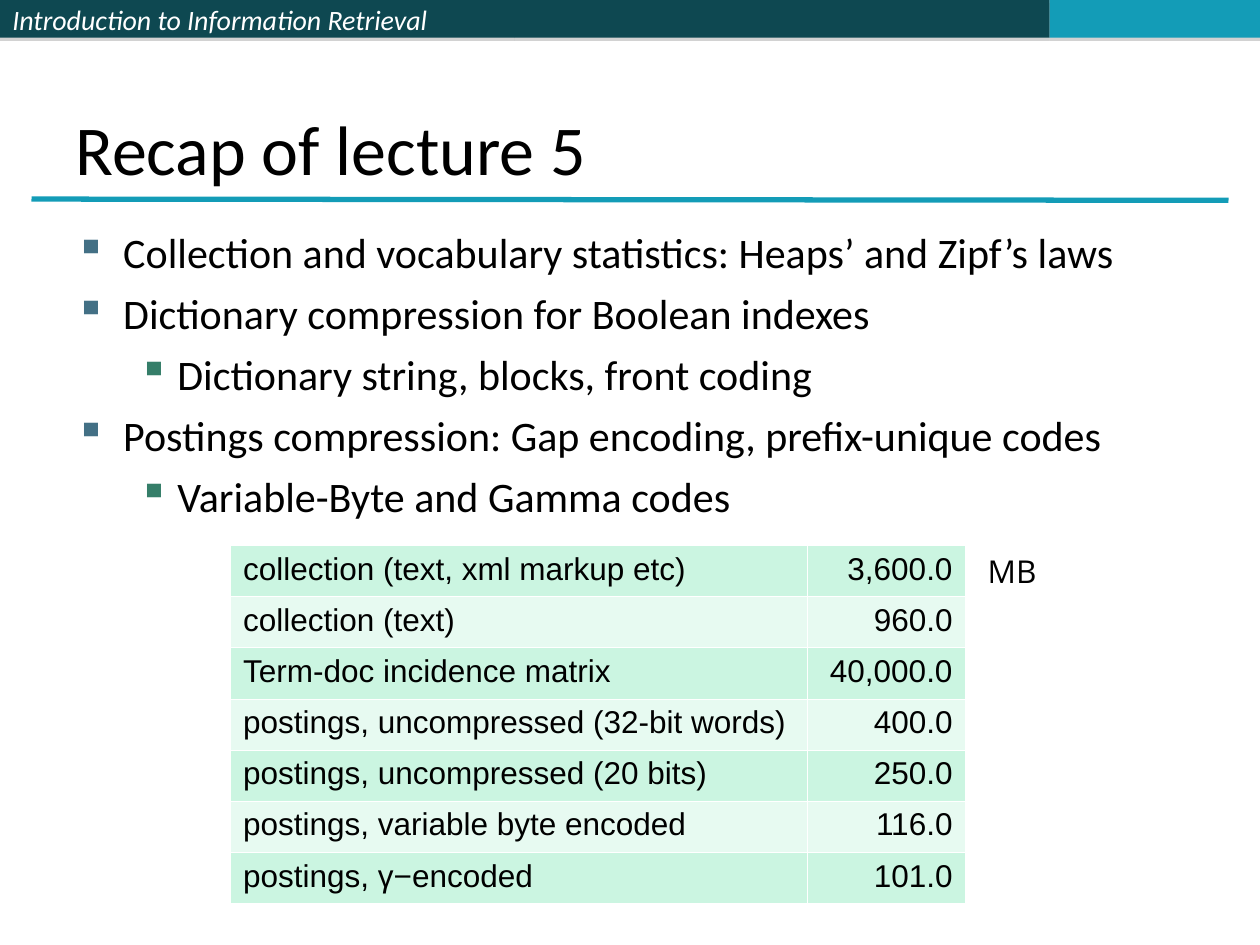
from lxml import etree
from pptx import Presentation
from pptx.dml.color import RGBColor
from pptx.enum.shapes import MSO_CONNECTOR, MSO_SHAPE
from pptx.enum.text import MSO_ANCHOR, MSO_AUTO_SIZE, PP_ALIGN
from pptx.oxml import parse_xml
from pptx.oxml.ns import nsdecls, qn
from pptx.util import Inches, Pt

RECT = MSO_SHAPE.RECTANGLE
LINE = MSO_CONNECTOR.STRAIGHT
TOP, MIDDLE, BOTTOM = MSO_ANCHOR.TOP, MSO_ANCHOR.MIDDLE, MSO_ANCHOR.BOTTOM
LEFT, RIGHT = PP_ALIGN.LEFT, PP_ALIGN.RIGHT
GROW = MSO_AUTO_SIZE.SHAPE_TO_FIT_TEXT

BLACK = RGBColor(0x00, 0x00, 0x00)
WHITE = RGBColor(0xFF, 0xFF, 0xFF)
DARK = RGBColor(0x0E, 0x48, 0x51)
TEAL = RGBColor(0x13, 0x9C, 0xB7)
GREY = RGBColor(0x80, 0x80, 0x80)
BLUE = RGBColor(0x43, 0x70, 0x85)
GREEN = RGBColor(0x35, 0x7E, 0x69)
MINT = RGBColor(0xCB, 0xF5, 0xE1)
PALE = RGBColor(0xE7, 0xFA, 0xF1)

LEVELS = [(0.38, 0.38, BLUE), (0.81, 0.31, GREEN)]
POINTS = [
    (0, "Collection and vocabulary statistics: Heaps’ and Zipf’s laws"),
    (0, "Dictionary compression for Boolean indexes"),
    (1, "Dictionary string, blocks, front coding"),
    (0, "Postings compression: Gap encoding, prefix-unique codes"),
    (1, "Variable-Byte and Gamma codes"),
]
SIZES = [
    ("collection (text, xml markup etc)", "3,600.0"),
    ("collection (text)", "960.0"),
    ("Term-doc incidence matrix", "40,000.0"),
    ("postings, uncompressed (32-bit words)", "400.0"),
    ("postings, uncompressed (20 bits)", "250.0"),
    ("postings, variable byte encoded", "116.0"),
    ("postings, γ−encoded", "101.0"),
]


def write(para, text, size=18, font="Calibri", color=BLACK, italic=False, align=LEFT):
    """Put one formatted run into a paragraph."""
    para.alignment = align
    run = para.add_run()
    run.text = text
    run.font.size = Pt(size)
    run.font.name = font
    run.font.color.rgb = color
    run.font.italic = italic


def add_box(slide, box, anchor=TOP, wrap=True):
    """Add a text box and return its frame."""
    frame = slide.shapes.add_textbox(*map(Inches, box)).text_frame
    frame.word_wrap = wrap
    frame.vertical_anchor = anchor
    return frame


def add_bar(slide, box, color):
    """Add a plain bar with a thin shadow below it."""
    bar = slide.shapes.add_shape(RECT, *map(Inches, box))
    bar.fill.solid()
    bar.fill.fore_color.rgb = color
    bar.line.fill.background()
    bar.shadow.inherit = False
    effects = bar._element.spPr.find(qn("a:effectLst"))
    effects.append(parse_xml(
        f'<a:outerShdw {nsdecls("a")} blurRad="0" dist="{Pt(1.8)}" dir="5400000">'
        f'<a:srgbClr val="{GREY}"><a:alpha val="35000"/></a:srgbClr></a:outerShdw>'))
    return bar


def add_header(slide, box, text):
    """Fill the top strip with three bars and the course name."""
    left, top, width, height = box
    bars = []
    for start, end, color in [(0, 4.08, DARK), (4.08, 8.33, DARK), (8.33, width, TEAL)]:
        bars.append(add_bar(slide, (left + start, top, end - start, height), color))
    frame = bars[0].text_frame
    frame.word_wrap = True
    frame.vertical_anchor = MIDDLE
    write(frame.paragraphs[0], text, size=16, color=WHITE, italic=True)


def add_title(slide, box, text):
    """Place the title with the rule beneath it."""
    rule = slide.shapes.add_connector(
        LINE, Inches(0.25), Inches(1.58), Inches(9.75), Inches(1.59))
    rule.line.color.rgb = TEAL
    rule.line.width = Pt(3)
    etree.SubElement(rule._element.spPr, qn("a:effectLst"))
    frame = add_box(slide, box, anchor=BOTTOM)
    write(frame.paragraphs[0], text, size=40)


def add_bullet(para, level):
    """Give a paragraph the indent and square mark of its level."""
    margin, hang, color = LEVELS[level]
    para.level = level
    props = para._p.get_or_add_pPr()
    props.set("marL", str(Inches(margin)))
    props.set("indent", str(-Inches(hang)))
    mark = etree.SubElement(props, qn("a:buClr"))
    etree.SubElement(mark, qn("a:srgbClr"), val=str(color))
    etree.SubElement(props, qn("a:buChar"), char="▪")


def add_list(slide, box, points):
    """Place the bulleted points."""
    frame = add_box(slide, box)
    for i, (level, text) in enumerate(points):
        para = frame.add_paragraph() if i else frame.paragraphs[0]
        add_bullet(para, level)
        para.space_before = Pt(6 if i else 0)
        write(para, text, size=24)


def style_cell(cell, color):
    """Set the white borders and the fill of a cell."""
    props = cell._tc.get_or_add_tcPr()
    for side in ("lnL", "lnR", "lnT", "lnB"):
        edge = etree.SubElement(props, qn(f"a:{side}"), w=str(Pt(0.45)))
        fill = etree.SubElement(edge, qn("a:solidFill"))
        etree.SubElement(fill, qn("a:srgbClr"), val=str(WHITE))
    cell.fill.solid()
    cell.fill.fore_color.rgb = color


def add_sizes(slide, box, rows):
    """Place the table of sizes and its unit."""
    left, top, width, height = box
    table = slide.shapes.add_table(len(rows), 2, *map(Inches, box)).table
    table.first_row = table.horz_banding = False
    table.columns[0].width = Inches(width - 1.25)
    table.columns[1].width = Inches(1.25)
    for i, row in enumerate(rows):
        table.rows[i].height = Inches(height / len(rows))
        for j, text in enumerate(row):
            cell = table.cell(i, j)
            style_cell(cell, PALE if i % 2 else MINT)
            write(cell.text_frame.paragraphs[0], text, font="Arial",
                  align=RIGHT if j else LEFT)
    unit = add_box(slide, (left + width + 0.08, top, 0.59, 0.4), wrap=False)
    unit.auto_size = GROW
    write(unit.paragraphs[0], "MB", font="Open Sans")


def main():
    """Build the recap slide and save it."""
    deck = Presentation()
    deck.slide_width, deck.slide_height = Inches(10), Inches(7.5)
    slide = deck.slides.add_slide(deck.slide_layouts[6])
    add_header(slide, (0, 0, 10, 0.3), "Introduction to Information Retrieval")
    add_title(slide, (0.5, 0.3, 9, 1.25), "Recap of lecture 5")
    add_list(slide, (0.5, 1.75, 9, 5.42), POINTS)
    add_sizes(slide, (1.83, 4.33, 5.83, 2.84), SIZES)
    deck.save("out.pptx")


if __name__ == "__main__":
    main()
